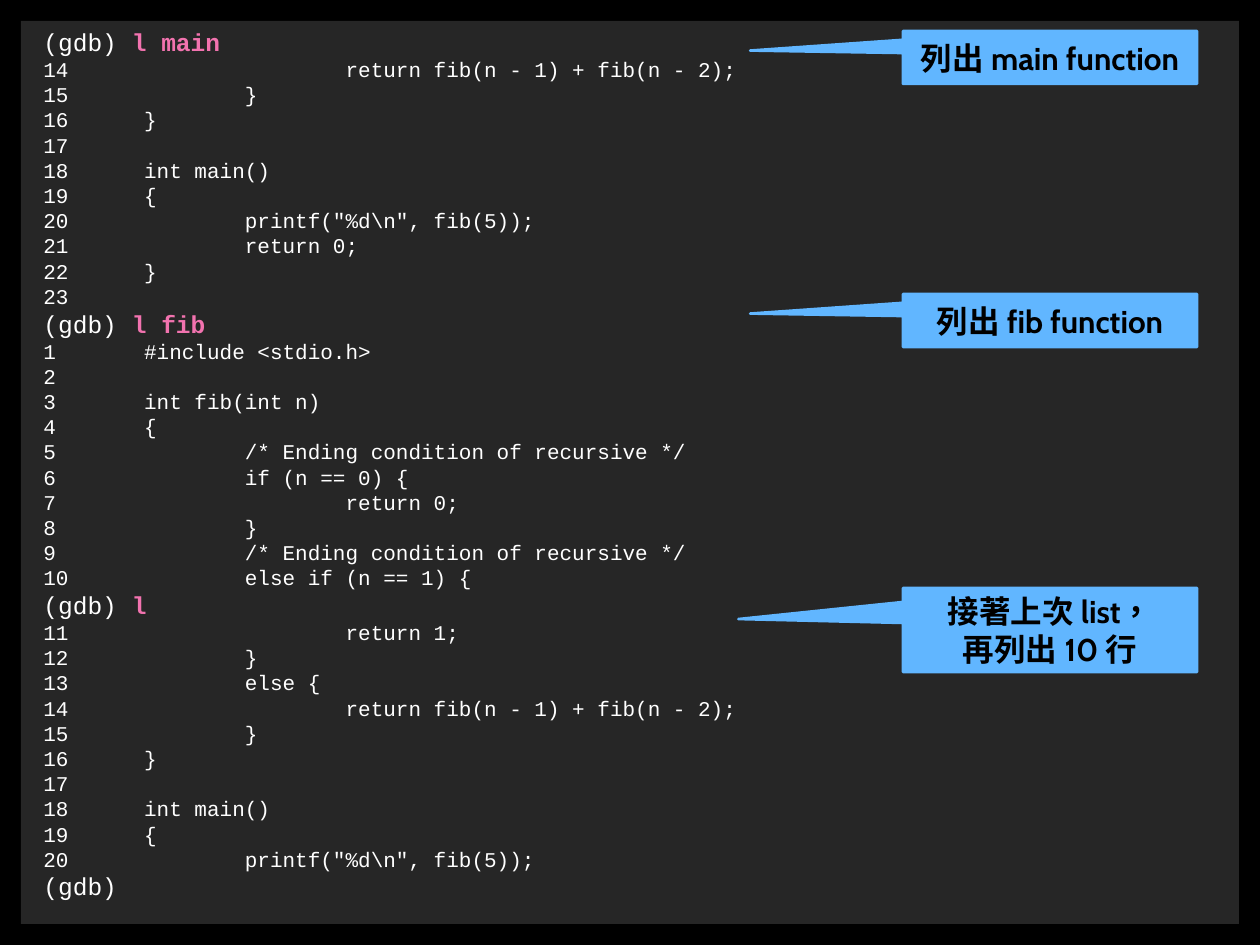
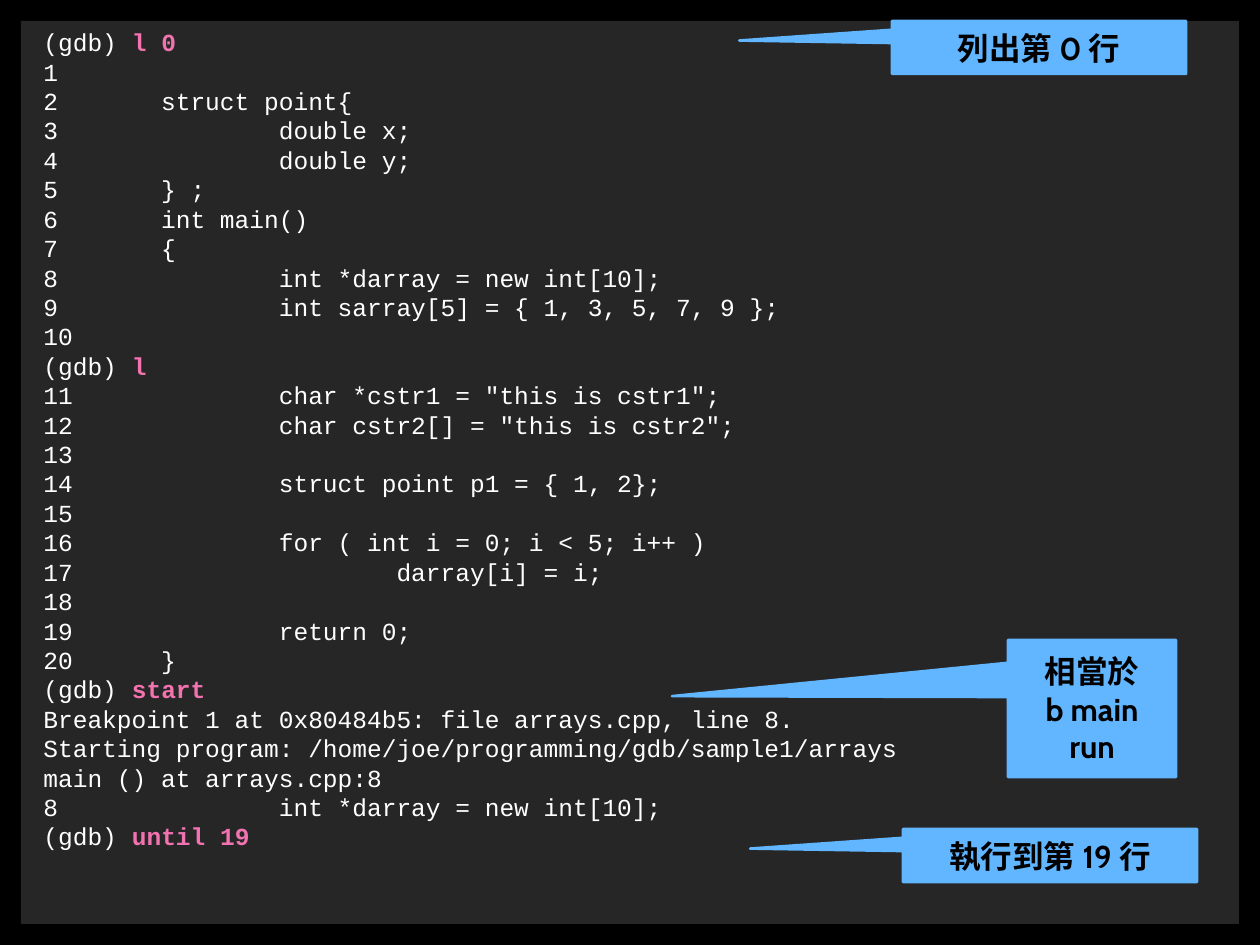
"""Build two slides of annotated gdb sessions."""
from pptx import Presentation
from pptx.dml.color import RGBColor
from pptx.enum.lang import MSO_LANGUAGE_ID
from pptx.enum.shapes import MSO_SHAPE
from pptx.enum.text import MSO_ANCHOR, PP_ALIGN
from pptx.util import Emu, Pt

BLACK = RGBColor(0x00, 0x00, 0x00)
CHARCOAL = RGBColor(0x26, 0x26, 0x26)
WHITE = RGBColor(0xFF, 0xFF, 0xFF)
PINK = RGBColor(0xF2, 0x73, 0xAF)
BLUE = RGBColor(0x61, 0xB6, 0xFF)

PAGE_SIZE = (1260, 945)
PANEL = (21, 21, 1218, 903)
HANGING = {"marL": 57, "indent": -47}
PROMPT = "(gdb)"
PROMPT_SIZE = 14
LINE_RATIO = 1.2

CODE_FORMAT = {"name": "Courier New", "bold": False}
COMMAND_FORMAT = {"name": "Courier New", "bold": True}
LABEL_FORMAT = {"name": "Cabin", "size": Pt(18), "bold": True,
                "language_id": MSO_LANGUAGE_ID.TRADITIONAL_CHINESE}

FIB_SOURCE = r"""#include <stdio.h>

int fib(int n)
{
        /* Ending condition of recursive */
        if (n == 0) {
                return 0;
        }
        /* Ending condition of recursive */
        else if (n == 1) {
                return 1;
        }
        else {
                return fib(n - 1) + fib(n - 2);
        }
}

int main()
{
        printf("%d\n", fib(5));
        return 0;
}
""".split("\n")

ARRAYS_SOURCE = """
struct point{
        double x;
        double y;
} ;
int main()
{
        int *darray = new int[10];
        int sarray[5] = { 1, 3, 5, 7, 9 };

        char *cstr1 = "this is cstr1";
        char cstr2[] = "this is cstr2";

        struct point p1 = { 1, 2};

        for ( int i = 0; i < 5; i++ )
                darray[i] = i;

        return 0;
}""".split("\n")

START_OUTPUT = [
    "Breakpoint 1 at 0x80484b5: file arrays.cpp, line 8.",
    "Starting program: /home/joe/programming/gdb/sample1/arrays",
    "main () at arrays.cpp:8",
]


def listed(source, first, last):
    """Return numbered source lines as gdb prints them."""
    return [f"{number:<8}{source[number - 1]}".rstrip() for number in range(first, last + 1)]


SLIDES = [
    {
        "code_size": 12,
        "session": [
            ("l main", listed(FIB_SOURCE, 14, 23)),
            ("l fib", listed(FIB_SOURCE, 1, 10)),
            ("l", listed(FIB_SOURCE, 11, 20)),
            ("", []),
        ],
        "callouts": [
            ("列出 main function", (903, 31, 294, 53), (-1.02, -0.13)),
            ("列出 fib function", (903, 294, 294, 53), (-1.02, -0.13)),
            ("接著上次 list，\v再列出 10 行", (903, 588, 294, 84), (-1.06, -0.13)),
        ],
    },
    {
        "code_size": 14,
        "session": [
            ("l 0", listed(ARRAYS_SOURCE, 1, 10)),
            ("l", listed(ARRAYS_SOURCE, 11, 20)),
            ("start", START_OUTPUT + listed(ARRAYS_SOURCE, 8, 8)),
            ("until 19", []),
        ],
        "callouts": [
            ("相當於\nb main\nrun", (1008, 640, 168, 137), (-2.5, -0.09)),
            ("列出第 0 行", (892, 21, 294, 53), (-1.02, -0.13)),
            ("執行到第 19 行", (903, 829, 294, 53), (-1.02, -0.13)),
        ],
    },
]


def px(length):
    """Turn pixels into EMU."""
    return Emu(round(length * 914400 / 126))


def style(span, color, **values):
    """Apply font values and a colour to a run."""
    for name, value in values.items():
        setattr(span.font, name, value)
    span.font.color.rgb = color


def add_box(page, preset, place, fill):
    """Add a flat filled shape whose text wraps."""
    box = page.shapes.add_shape(preset, *map(px, place))
    box.shadow.inherit = False
    box.fill.solid()
    box.fill.fore_color.rgb = fill
    box.text_frame.word_wrap = True
    return box


def add_line(frame, spans, size):
    """Add one terminal line made of (text, colour, format) spans."""
    para = frame.paragraphs[0] if not frame.paragraphs[0].runs else frame.add_paragraph()
    para.alignment = PP_ALIGN.LEFT
    para.line_spacing = Pt(size * LINE_RATIO)
    for name, length in HANGING.items():
        para._p.get_or_add_pPr().set(name, str(px(length)))
    for text, color, values in spans:
        span = para.add_run()
        span.text = text
        style(span, color, size=Pt(size), **values)


def add_terminal(page, session, code_size):
    """Add the dark panel with prompts, commands and output."""
    panel = add_box(page, MSO_SHAPE.RECTANGLE, PANEL, CHARCOAL)
    panel.line.fill.background()
    frame = panel.text_frame
    frame.vertical_anchor = MSO_ANCHOR.TOP
    for command, output in session:
        spans = [(PROMPT, WHITE, CODE_FORMAT)]
        if command:
            spans = [(PROMPT + " ", WHITE, CODE_FORMAT), (command, PINK, COMMAND_FORMAT)]
        add_line(frame, spans, PROMPT_SIZE)
        for text in output:
            add_line(frame, [(text, WHITE, CODE_FORMAT)], code_size)


def add_callout(page, text, place, tip):
    """Add a blue label with a wedge that points to its command."""
    callout = add_box(page, MSO_SHAPE.RECTANGULAR_CALLOUT, place, BLUE)
    callout.line.color.rgb = BLUE
    callout.line.width = Pt(1.5)
    for index, value in enumerate(tip):
        callout.adjustments[index] = value
    callout.text_frame.text = text
    callout.text_frame.vertical_anchor = MSO_ANCHOR.MIDDLE
    for para in callout.text_frame.paragraphs:
        para.alignment = PP_ALIGN.CENTER
        for span in para.runs:
            style(span, BLACK, **LABEL_FORMAT)


def main():
    """Build and save the deck."""
    deck = Presentation()
    deck.slide_width, deck.slide_height = map(px, PAGE_SIZE)
    for content in SLIDES:
        page = deck.slides.add_slide(deck.slide_layouts[6])
        page.background.fill.solid()
        page.background.fill.fore_color.rgb = BLACK
        add_terminal(page, content["session"], content["code_size"])
        for text, place, tip in content["callouts"]:
            add_callout(page, text, place, tip)
    deck.save("out.pptx")


if __name__ == "__main__":
    main()
